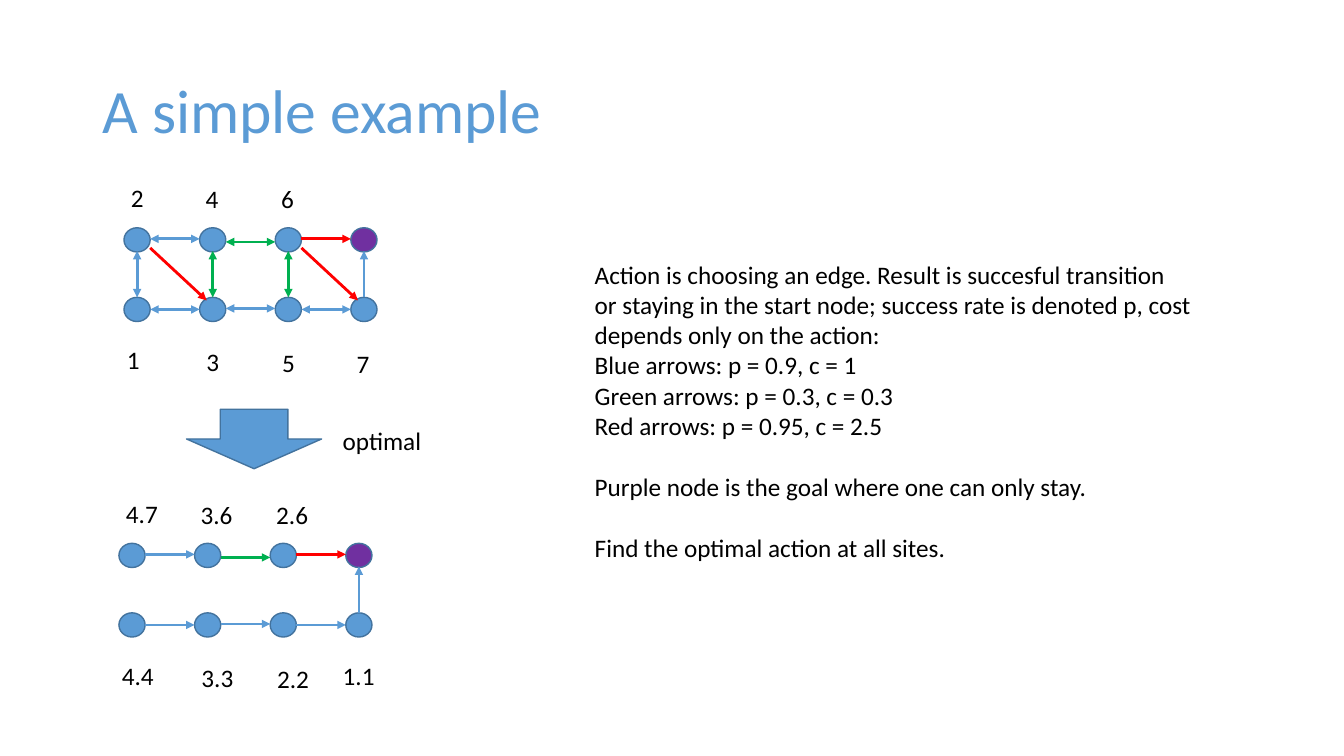
from lxml.etree import SubElement
from pptx import Presentation
from pptx.dml.color import RGBColor
from pptx.enum.shapes import MSO_CONNECTOR, MSO_SHAPE
from pptx.enum.text import MSO_ANCHOR, MSO_AUTO_SIZE
from pptx.oxml.ns import qn
from pptx.util import Inches, Pt

BLUE = RGBColor(0x5B, 0x9B, 0xD5)
OUTLINE = RGBColor(0x43, 0x73, 0x9E)
PURPLE = RGBColor(0x70, 0x30, 0xA0)
GREEN = RGBColor(0x00, 0xB0, 0x50)
RED = RGBColor(0xFF, 0x00, 0x00)
BLACK = RGBColor(0x00, 0x00, 0x00)

STEP_X, STEP_Y = 0.75, 0.69
NODE_W, NODE_H = 0.26, 0.24

# Start and end of each kind of edge, measured from the top-left of its column
EDGES = {
    "top": (0.26, 0.11, 0.75, 0.11),
    "middle top": (0.26, 0.14, 0.75, 0.14),
    "bottom": (0.26, 0.81, 0.75, 0.81),
    "middle bottom": (0.26, 0.8, 0.75, 0.8),
    "up": (0.13, 0.69, 0.13, 0.23),
    "diagonal": (0.26, 0.2, 0.82, 0.72),
}

# Each graph: left, top, edges (kind, column, colour, two-way)
GRAPHS = [
    (1.23, 2.26, [
        ("top", 0, BLUE, True), ("middle top", 1, GREEN, True), ("top", 2, RED, False),
        ("bottom", 0, BLUE, True), ("middle bottom", 1, BLUE, True), ("bottom", 2, BLUE, True),
        ("up", 0, BLUE, True), ("up", 1, GREEN, True), ("up", 2, GREEN, True),
        ("up", 3, BLUE, False),
        ("diagonal", 0, RED, False), ("diagonal", 2, RED, False),
    ]),
    (1.18, 5.39, [
        ("top", 0, BLUE, False), ("middle top", 1, GREEN, False), ("top", 2, RED, False),
        ("bottom", 0, BLUE, False), ("middle bottom", 1, BLUE, False),
        ("bottom", 2, BLUE, False), ("up", 3, BLUE, False),
    ]),
]

LABELS = [
    ("2", 1.2, 1.76, 0.33), ("4", 1.94, 1.77, 0.33), ("6", 2.69, 1.77, 0.33),
    ("1", 1.16, 3.37, 0.33), ("3", 1.95, 3.39, 0.33), ("5", 2.7, 3.4, 0.33),
    ("7", 3.44, 3.41, 0.33),
    ("optimal", 3.3, 4.17, 0.99),
    ("4.7", 1.15, 4.89, 0.52), ("3.6", 1.89, 4.9, 0.52), ("2.6", 2.64, 4.9, 0.52),
    ("4.4", 1.11, 6.5, 0.52), ("3.3", 1.9, 6.52, 0.52), ("2.2", 2.65, 6.53, 0.52),
    ("1.1", 3.3, 6.5, 0.52),
]

RULES = [
    "Action is choosing an edge. Result is succesful transition",
    "or staying in the start node; success rate is denoted p, cost",
    "depends only on the action:",
    "Blue arrows: p = 0.9, c = 1",
    "Green arrows: p = 0.3, c = 0.3",
    "Red arrows: p = 0.95, c = 2.5",
    "Purple node is the goal where one can only stay.",
    "Find the optimal action at all sites.",
]

prs = Presentation()
prs.slide_width, prs.slide_height = Inches(13.33), Inches(7.5)
s = prs.slides.add_slide(prs.slide_layouts[6])


def add_text(text, x, y, w, h, size=18, color=BLACK):
    tf = s.shapes.add_textbox(Inches(x), Inches(y), Inches(w), Inches(h)).text_frame
    tf.text = text
    for p in tf.paragraphs:
        for r in p.runs:
            r.font.name, r.font.size = "Calibri", Pt(size)
            r.font.color.rgb = color
    return tf


def add_filled(kind, x, y, w, h, fill=BLUE):
    sp = s.shapes.add_shape(kind, Inches(x), Inches(y), Inches(w), Inches(h))
    sp.shadow.inherit = False
    sp.fill.solid()
    sp.fill.fore_color.rgb = fill
    sp.line.color.rgb = OUTLINE
    sp.line.width = Pt(1)


title = add_text("A simple example", 0.92, 0.4, 11.5, 1.45, 44, BLUE)
title.word_wrap = True
title.vertical_anchor = MSO_ANCHOR.MIDDLE
title.paragraphs[0].line_spacing = 0.9

for left, top, edges in GRAPHS:
    for row in range(2):
        for col in range(4):
            goal = (row, col) == (0, 3)
            add_filled(MSO_SHAPE.OVAL, left + col * STEP_X, top + row * STEP_Y,
                       NODE_W, NODE_H, PURPLE if goal else BLUE)
    for kind, col, color, two_way in edges:
        x1, y1, x2, y2 = EDGES[kind]
        x = left + col * STEP_X
        edge = s.shapes.add_connector(MSO_CONNECTOR.STRAIGHT, Inches(x + x1), Inches(top + y1),
                                      Inches(x + x2), Inches(top + y2))
        edge.line.color.rgb = color
        edge.line.width = Pt(2)
        ln = edge.line._get_or_add_ln()
        for end in ["a:headEnd", "a:tailEnd"] if two_way else ["a:tailEnd"]:
            SubElement(ln, qn(end), type="triangle")
        SubElement(edge._element.spPr, qn("a:effectLst"))

add_filled(MSO_SHAPE.DOWN_ARROW, 1.85, 4.06, 1.34, 0.59)

for text, x, y, w in LABELS:
    tf = add_text(text, x, y, w, 0.4)
    tf.word_wrap = False
    tf.auto_size = MSO_AUTO_SIZE.SHAPE_TO_FIT_TEXT

rules = add_text("\n".join(RULES), 5.8, 2.52, 6.25, 3.13)
rules.word_wrap = False
rules.auto_size = MSO_AUTO_SIZE.SHAPE_TO_FIT_TEXT
for p in rules.paragraphs[-2:]:
    p.space_before = Pt(22)

prs.save("out.pptx")
